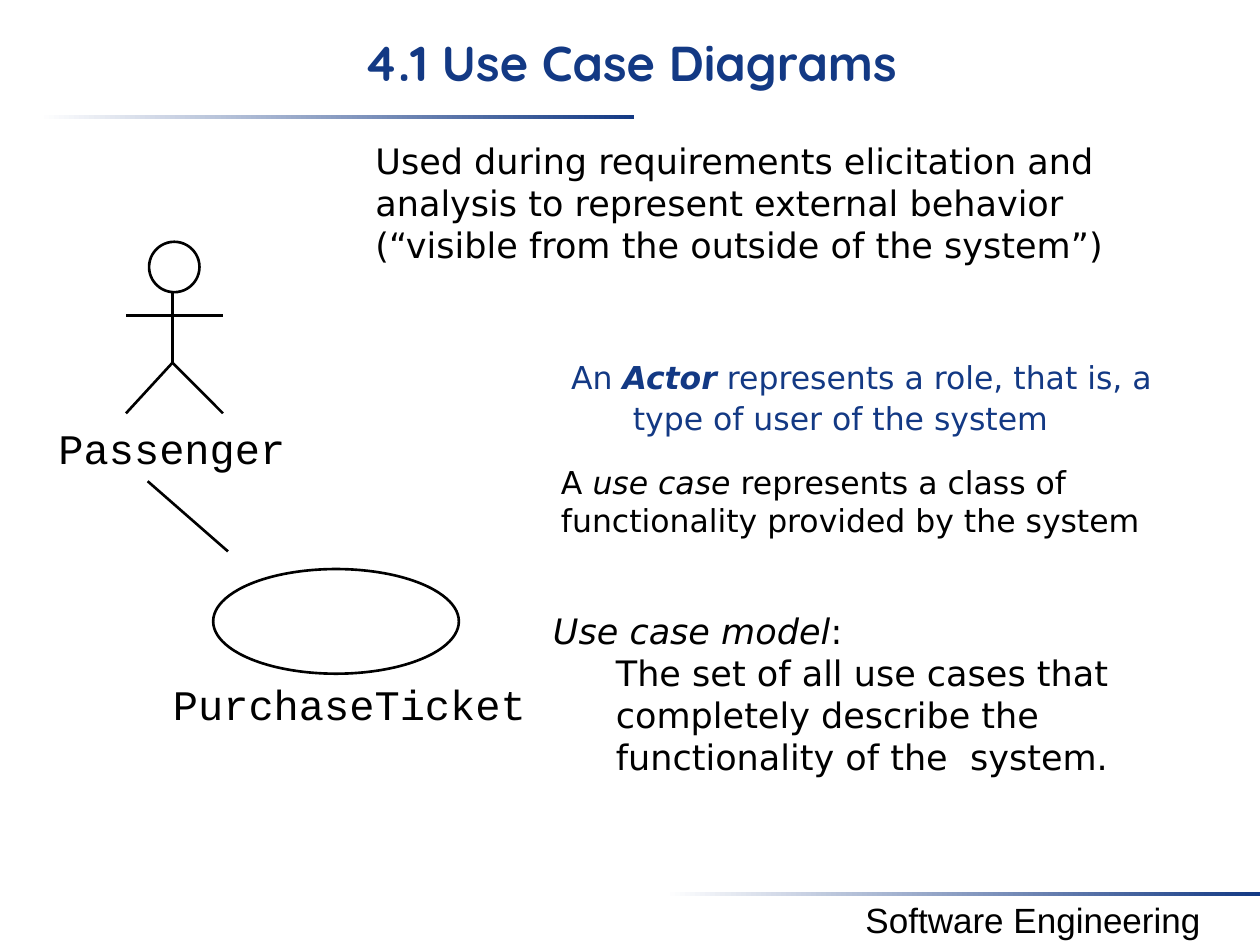
from lxml.etree import SubElement
from pptx import Presentation
from pptx.dml.color import RGBColor
from pptx.enum.shapes import MSO_CONNECTOR, MSO_SHAPE
from pptx.enum.text import PP_ALIGN
from pptx.oxml.ns import qn
from pptx.util import Pt

COLORS = {"navy": "133984", "black": "000000", "white": "FFFFFF"}


def rgb(color):
    """Return the named palette colour."""
    return RGBColor.from_string(COLORS[color])


def add_runs(paragraph, pieces, font, size, color):
    """Fill a paragraph with (text, style) pieces, where style holds b and i flags."""
    for text, style in pieces:
        run = paragraph.add_run()
        run.text = text
        run.font.name, run.font.size = font, Pt(size)
        run.font.color.rgb = rgb(color)
        run.font.bold, run.font.italic = "b" in style, "i" in style


def add_text(shapes, box, paragraphs, font="DejaVu Sans", size=20, color="black",
             align=PP_ALIGN.LEFT, wrap=True, inset=(7.2, 3.6)):
    """Place a text box and return its paragraphs for further spacing."""
    frame = shapes.add_textbox(*map(Pt, box)).text_frame
    frame.word_wrap = wrap
    frame.margin_left = frame.margin_right = Pt(inset[0])
    frame.margin_top = frame.margin_bottom = Pt(inset[1])
    for index, pieces in enumerate(paragraphs):
        paragraph = frame.add_paragraph() if index else frame.paragraphs[0]
        paragraph.alignment = align
        add_runs(paragraph, pieces, font, size, color)
    return frame.paragraphs


def indent(paragraph, left, first=0):
    """Set the left margin and first-line indent of a paragraph."""
    properties = paragraph._p.get_or_add_pPr()
    properties.set("marL", str(Pt(left)))
    properties.set("indent", str(Pt(first)))


def outline(shape, fill=None):
    """Give a shape a thin black outline and an optional fill."""
    shape.shadow.inherit = False
    shape.line.color.rgb = rgb("black")
    shape.line.width = Pt(1.5)
    if fill:
        shape.fill.solid()
        shape.fill.fore_color.rgb = rgb(fill)
    else:
        shape.fill.background()


def add_line(shapes, start, end):
    """Draw a thin black straight line."""
    line = shapes.add_connector(MSO_CONNECTOR.STRAIGHT, *map(Pt, (*start, *end)))
    line.line.color.rgb = rgb("black")
    line.line.width = Pt(1.5)
    SubElement(line._element.spPr, qn("a:effectLst"))


def add_rule(shapes, left, top):
    """Draw a horizontal rule that fades in from white to navy."""
    rule = shapes.add_shape(MSO_SHAPE.RECTANGLE, *map(Pt, (left, top, 340, 2.2)))
    rule.shadow.inherit = False
    rule.line.fill.background()
    rule.fill.gradient()
    rule.fill.gradient_angle = 0
    for stop, color, position in zip(rule.fill.gradient_stops, ("white", "navy"), (0, 1)):
        stop.color.rgb = rgb(color)
        stop.position = position


def add_label(shapes, left, top, name):
    """Write a diagram element's name in monospace, in a box that leaves it some slack."""
    add_text(shapes, (left, top, 14.4 * len(name) + 4, 28.8), [[(name, "")]],
             "Courier New", 24, wrap=True, inset=(0, 0))


def add_frame(shapes, width, height):
    """Place the title, the footer and their rules on the slide."""
    add_rule(shapes, 22.3, 65.7)
    add_rule(shapes, width - 340, height - 30.1)
    add_text(shapes, (width - 259.2, height - 30.3, 259.2, 31.7),
             [[("Software Engineering", "")]], "Arial", align=PP_ALIGN.CENTER)
    add_text(shapes, (0, 15, width, 54), [[("4.1 Use Case Diagrams", "b")]],
             "Quicksand", 28, "navy", PP_ALIGN.CENTER)


def add_actor(shapes, left, top, width, height, name):
    """Draw a stick figure in the box with its name below."""
    figure = shapes.add_group_shape().shapes
    head = 28.8
    middle, right, bottom = left + width * 0.48, left + width, top + height
    neck, arms, hip = top + head - 8.6, top + height * 0.43, top + height * 0.705
    body = figure.build_freeform(Pt(middle), Pt(neck))
    body.add_line_segments([(Pt(middle), Pt(hip)), (Pt(left), Pt(bottom))], close=False)
    outline(body.convert_to_shape())
    add_line(figure, (middle, hip), (right, bottom))
    add_line(figure, (left, arms), (right, arms))
    outline(figure.add_shape(MSO_SHAPE.OVAL, *map(Pt, (left + 13.2, top, head, head))),
            "white")
    add_label(figure, left - 38.6, bottom + 5, name)


def add_use_case(shapes, left, top, width, height, name):
    """Draw a use case ellipse in the box, its name below and its link to the actor."""
    case = shapes.add_group_shape().shapes
    outline(case.add_shape(MSO_SHAPE.OVAL, *map(Pt, (left, top, width, height))))
    add_label(case, left - 23, top + height + 2.9, name)
    add_line(case, (left - 37.4, top - 50.2), (left + 8.5, top - 10.1))


def add_explanations(shapes, left, top, width):
    """Place the four explanatory texts relative to the top left of their column."""
    purpose = ("Used during requirements elicitation and analysis to represent "
               "external behavior (“visible from the outside of the system”)")
    add_text(shapes, (left, top, width, 77), [[(purpose, "")]])

    role = [("An ", ""), ("Actor", "bi"),
            (" represents a role, that is, a type of user of the system", "")]
    actor, = add_text(shapes, (left + 111.9, top + 122.4, 352.8, 63.4), [role],
                      size=18, color="navy")
    indent(actor, 35.3, -35.3)
    actor.line_spacing, actor.space_before = 1.1, Pt(3.6)

    model = [[("Use case model", "i"), (":", "")],
             [("The set of all use cases that completely describe the "
               "functionality of the  system.", "")]]
    _, definition = add_text(shapes, (left + 101.5, top + 268.6, 386.6, 146.9), model)
    definition.level = 1
    indent(definition, 36)

    functionality = [("A ", ""), ("use case", "i"),
                     (" represents a class of functionality provided by the system", "")]
    add_text(shapes, (left + 106.1, top + 184.7, 383.8, 72), [functionality], size=18)


def main():
    """Build the use case slide and save it."""
    presentation = Presentation()
    presentation.slide_width, presentation.slide_height = Pt(720), Pt(540)
    shapes = presentation.slides.add_slide(presentation.slide_layouts[6]).shapes
    add_frame(shapes, 720, 540)
    add_actor(shapes, 72, 138.2, 55.4, 98, "Passenger")
    add_use_case(shapes, 121.8, 325.2, 140.4, 59.8, "PurchaseTicket")
    add_explanations(shapes, 207.4, 76.3, 476.6)
    presentation.save("out.pptx")


if __name__ == "__main__":
    main()
